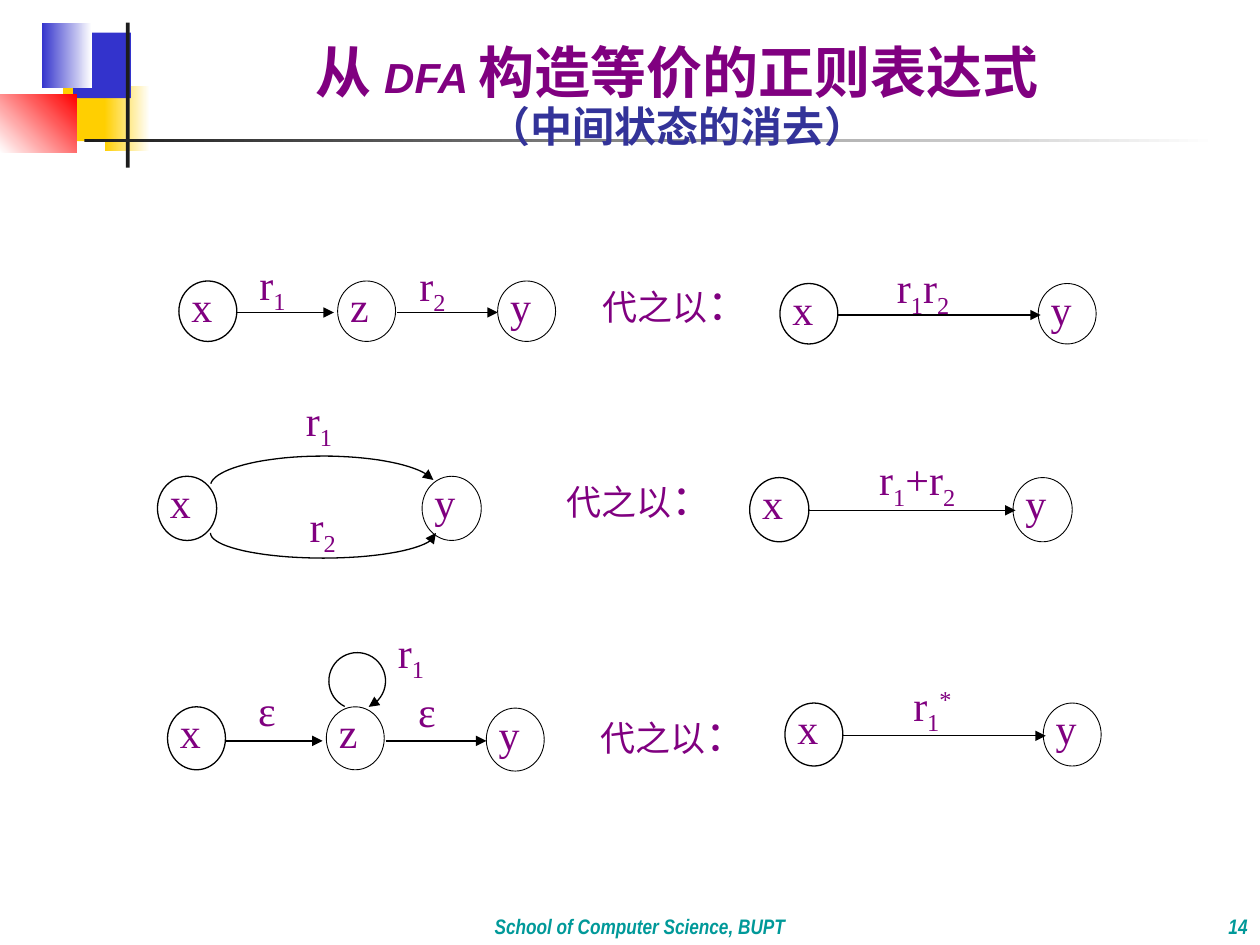
"""Build the slide on eliminating intermediate states of a DFA."""
import math
from dataclasses import dataclass, field

import lxml.etree
import pptx
import pptx.dml.color
import pptx.enum.shapes
import pptx.enum.text
import pptx.oxml.ns
import pptx.util

PX = 9144
PURPLE, BLUE, TEAL, BLACK, WHITE = "800080", "333399", "009999", "000000", "FFFFFF"
SERIF, SANS, NARROW, CJK = "Times New Roman", "Arial", "Arial Narrow", "Noto Sans CJK SC"
ALIGN = pptx.enum.text.PP_ALIGN
ANCHOR = pptx.enum.text.MSO_ANCHOR
SHAPE = pptx.enum.shapes.MSO_SHAPE


@dataclass
class Run:
    """A stretch of text in one format; base is the baseline shift in percent."""
    text: str
    base: int = 0
    size: int = 24
    font: str = SERIF
    color: str = PURPLE
    bold: bool = False
    italic: bool = False


@dataclass
class Box:
    """A filled block; end is the second gradient colour."""
    x: int
    y: int
    w: int
    h: int
    start: str
    end: str = ""
    angle: int = 0


@dataclass
class Node:
    """A state circle."""
    name: str
    x: int
    y: int


@dataclass
class Arrow:
    """A level arrow."""
    x1: int
    x2: int
    y: int


@dataclass
class Arc:
    """Part of an ellipse, with angles in degrees clockwise from the right."""
    cx: float
    cy: float
    rx: float
    ry: float
    start: int
    end: int


@dataclass
class Label:
    """A text box."""
    x: int
    y: int
    w: int
    h: int
    runs: list[Run]


@dataclass
class Row:
    """One elimination rule; size is that of its circles."""
    size: tuple[int, int]
    nodes: list[Node]
    arrows: list[Arrow]
    labels: list[Label]
    arcs: list[Arc] = field(default_factory=list)


def rgb(value: str) -> pptx.dml.color.RGBColor:
    """Turn a hex string into a colour."""
    return pptx.dml.color.RGBColor.from_string(value)


def emu(*lengths: float) -> list[int]:
    """Turn px into EMU."""
    return [round(n * PX) for n in lengths]


def add_runs(p, runs: list[Run]) -> None:
    """Add formatted runs to a paragraph."""
    for run in runs:
        r = p.add_run()
        r.text = run.text
        r.font.size = pptx.util.Pt(run.size)
        r.font.name = run.font
        r.font.bold, r.font.italic = run.bold, run.italic
        r.font.color.rgb = rgb(run.color)
        props = r._r.get_or_add_rPr()
        lxml.etree.SubElement(props, pptx.oxml.ns.qn("a:ea"), typeface=CJK)
        if run.base:
            props.set("baseline", str(run.base * 1000))


def add_text(shapes, label: Label, align=ALIGN.LEFT, anchor=ANCHOR.TOP):
    """Add a text box and return its paragraph."""
    tf = shapes.add_textbox(*emu(label.x, label.y, label.w, label.h)).text_frame
    tf.word_wrap = True
    tf.vertical_anchor = anchor
    p = tf.paragraphs[0]
    p.alignment = align
    add_runs(p, label.runs)
    return p


def add_box(shapes, box: Box) -> None:
    """Add a block with a plain or gradient fill."""
    sp = shapes.add_shape(SHAPE.RECTANGLE, *emu(box.x, box.y, box.w, box.h))
    sp.shadow.inherit = False
    sp.line.fill.background()
    if box.end:
        sp.fill.gradient()
        sp.fill.gradient_angle = box.angle
        for stop, color in zip(sp.fill.gradient_stops, (box.start, box.end)):
            stop.color.rgb = rgb(color)
    else:
        sp.fill.solid()
        sp.fill.fore_color.rgb = rgb(box.start)


def set_line(sp, width: float, arrow: bool = False) -> None:
    """Set a black line, with an arrowhead if wanted."""
    sp.line.color.rgb = rgb(BLACK)
    sp.line.width = pptx.util.Pt(width)
    if arrow:
        lxml.etree.SubElement(sp.line._get_or_add_ln(), pptx.oxml.ns.qn("a:tailEnd"), type="triangle")


def add_node(shapes, node: Node, size: tuple[int, int]) -> None:
    """Add a state circle with its name."""
    w, h = size
    sp = shapes.add_shape(SHAPE.OVAL, *emu(node.x, node.y, w, h))
    sp.shadow.inherit = False
    sp.fill.background()
    set_line(sp, 0.75 if node.name == "x" else 0.5)
    add_text(shapes, Label(node.x, node.y - 5, w + 9, h + 12, [Run(node.name)]))


def add_arrow(shapes, arrow: Arrow) -> None:
    """Add a level arrow."""
    s = shapes.add_connector(pptx.enum.shapes.MSO_CONNECTOR.STRAIGHT,
                             *emu(arrow.x1, arrow.y, arrow.x2, arrow.y))
    set_line(s, 0.75, arrow=True)
    lxml.etree.SubElement(s._element.spPr, pptx.oxml.ns.qn("a:effectLst"))


def add_arc(shapes, arc: Arc, steps: int = 40) -> None:
    """Add a curved arrow along an ellipse."""
    angles = [math.radians(arc.start + (arc.end - arc.start) * i / steps) for i in range(steps + 1)]
    points = [emu(arc.cx + arc.rx * math.cos(a), arc.cy + arc.ry * math.sin(a)) for a in angles]
    builder = shapes.build_freeform(*points[0], scale=1.0)
    builder.add_line_segments(points[1:], close=False)
    sp = builder.convert_to_shape()
    sp.shadow.inherit = False
    sp.fill.background()
    set_line(sp, 0.75, arrow=True)


def add_row(shapes, row: Row) -> None:
    """Add one elimination rule as a group."""
    group = shapes.add_group_shape().shapes
    for node in row.nodes:
        add_node(group, node, row.size)
    for arrow in row.arrows:
        add_arrow(group, arrow)
    for arc in row.arcs:
        add_arc(group, arc)
    for label in row.labels:
        add_text(group, label)


R, R1, R2 = Run("r"), [Run("r"), Run("1", -25)], [Run("r"), Run("2", -25)]
EPSILON = [Run("ε")]
REPLACE = [Run("代之以", size=20), Run("：")]
BOXES = [
    Box(50, 60, 48, 52, "FFCF01"), Box(83, 68, 36, 52, "FFCF01", WHITE),
    Box(58, 26, 46, 52, "3333CC"), Box(33, 18, 40, 52, "3333CC", WHITE),
    Box(0, 75, 61, 46, WHITE, "FF0000", 45), Box(100, 18, 3, 115, "1C1C1C"),
    Box(67, 110, 900, 3, "1C1C1C", WHITE),
]
ROWS = [
    Row((46, 48),
        [Node("x", 142, 223), Node("z", 268, 223), Node("y", 395, 223),
         Node("x", 619, 225), Node("y", 824, 225)],
        [Arrow(187, 265, 248), Arrow(315, 395, 248), Arrow(665, 826, 250)],
        [Label(196, 200, 58, 55, R1), Label(323, 201, 58, 55, R2),
         Label(702, 203, 93, 55, R1 + R2), Label(468, 216, 149, 58, REPLACE)]),
    Row((47, 51),
        [Node("x", 125, 378), Node("y", 335, 378), Node("x", 595, 379), Node("y", 804, 379)],
        [Arrow(641, 806, 405)],
        [Label(233, 308, 59, 59, R1), Label(236, 392, 59, 59, R2),
         Label(688, 355, 86, 59, R1 + [Run("+r"), Run("2", -25)]),
         Label(440, 371, 160, 59, REPLACE)],
        [Arc(256.5, 423, 89.5, 20, 180, 0), Arc(256.5, 386, 89.5, 24, 185, 348)]),
    Row((46, 50),
        [Node("x", 133, 561), Node("z", 259, 561), Node("y", 386, 562),
         Node("x", 623, 558), Node("y", 828, 558)],
        [Arrow(179, 256, 588), Arrow(306, 386, 588), Arrow(669, 830, 584)],
        [Label(195, 538, 49, 58, EPSILON), Label(322, 539, 49, 58, EPSILON),
         Label(306, 492, 57, 58, R1), Label(715, 534, 84, 57, R1 + [Run("*", 30)]),
         Label(467, 558, 146, 58, REPLACE)],
        [Arc(283.5, 540.5, 22.5, 22.5, 116, 426)]),
]
TITLE = [
    [Run("从 ", size=32, bold=True), Run("DFA ", font=SANS, bold=True, italic=True),
     Run("构造等价的", size=32, bold=True), Run("正则表达式", size=32, font=CJK, bold=True)],
    [Run("（中间状态的消去）", font=SANS, color=BLUE, bold=True)],
]


def add_title(s) -> None:
    """Place and fill the title."""
    title = s.shapes.title
    title.left, title.top, title.width, title.height = emu(100, 33, 875, 92)
    tf = title.text_frame
    tf.word_wrap = True
    tf.auto_size = pptx.enum.text.MSO_AUTO_SIZE.NONE
    tf.vertical_anchor = ANCHOR.BOTTOM
    for i, runs in enumerate(TITLE):
        p = tf.add_paragraph() if i else tf.paragraphs[0]
        p.alignment = ALIGN.CENTER
        p.line_spacing = 0.9
        p.space_before = pptx.util.Pt(0)
        add_runs(p, runs)


def main() -> None:
    """Build and save the deck."""
    prs = pptx.Presentation()
    prs.slide_width, prs.slide_height = emu(1000, 750)
    s = prs.slides.add_slide(prs.slide_layouts[5])
    for box in BOXES:
        add_box(s.shapes, box)
    footer = dict(size=12, font=NARROW, color=TEAL, bold=True, italic=True)
    add_text(s.shapes, Label(833, 700, 167, 50, [Run("14", **footer)]), ALIGN.RIGHT, ANCHOR.BOTTOM)
    p = add_text(s.shapes, Label(158, 700, 700, 50, [Run("School of Computer Science, BUPT", **footer)]),
                 ALIGN.CENTER, ANCHOR.BOTTOM)
    p.line_spacing = 1.1
    add_title(s)
    s.shapes._spTree.append(s.shapes.title._element)
    for row in ROWS:
        add_row(s.shapes, row)
    prs.save("out.pptx")


if __name__ == "__main__":
    main()
